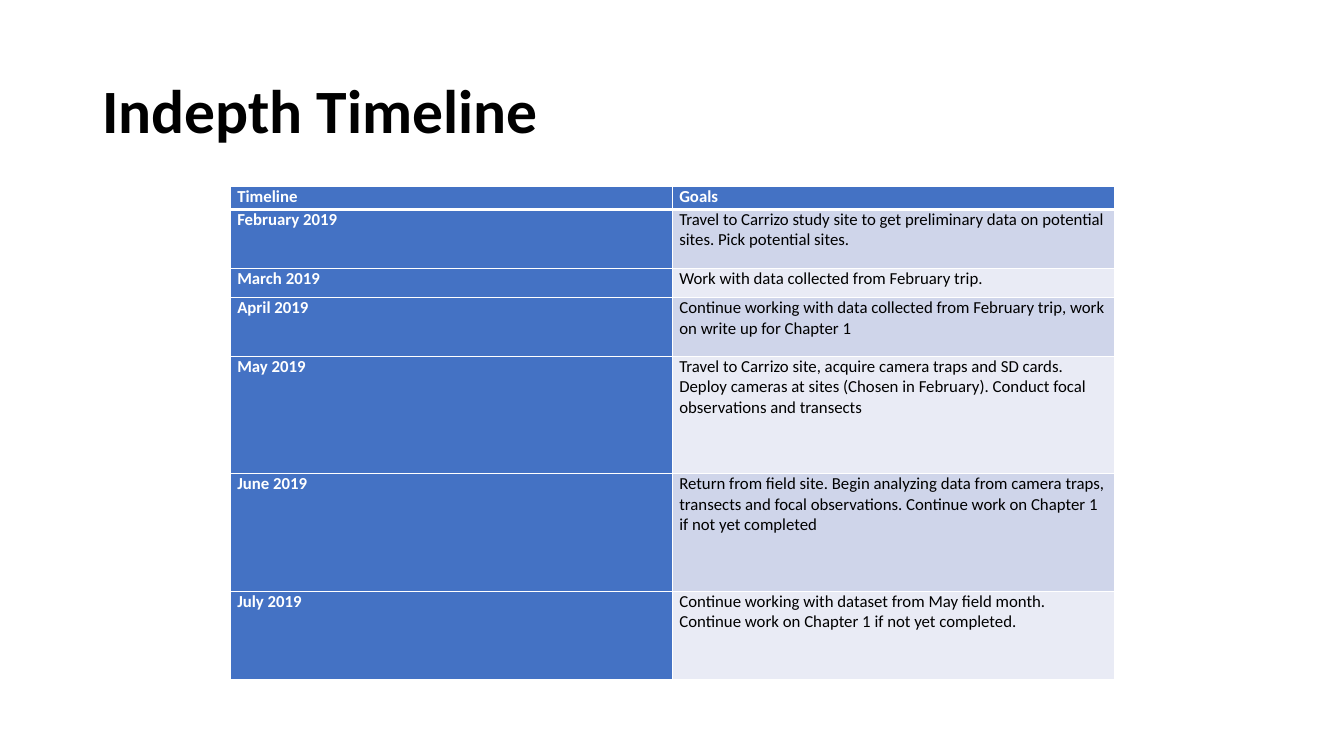
"""Build a slide with a month-by-month timeline table."""
from typing import NamedTuple

from lxml import etree
from pptx import Presentation
from pptx.dml.color import RGBColor
from pptx.enum import text
from pptx.oxml import ns
from pptx.util import Cm, Pt

BLACK = RGBColor(0x00, 0x00, 0x00)
WHITE = RGBColor(0xFF, 0xFF, 0xFF)
BLUE = RGBColor(0x44, 0x72, 0xC4)
BANDS = RGBColor(0xCF, 0xD5, 0xEA), RGBColor(0xE9, 0xEB, 0xF5)

HEADER_HEIGHT = 0.58
UNIT_HEIGHT = 0.74
COLUMN_WIDTH = 11.14
THIN, THICK = 1, 3


class Month(NamedTuple):
    name: str
    goals: str
    units: int


MONTHS = [
    Month("February 2019", "Travel to Carrizo study site to get preliminary data on "
          "potential sites. Pick potential sites.", 2),
    Month("March 2019", "Work with data collected from February trip.", 1),
    Month("April 2019", "Continue working with data collected from February trip, "
          "work on write up for Chapter 1", 2),
    Month("May 2019", "Travel to Carrizo site, acquire camera traps and SD cards. "
          "Deploy cameras at sites (Chosen in February). Conduct focal "
          "observations and transects", 4),
    Month("June 2019", "Return from field site. Begin analyzing data from camera traps, "
          "transects and focal observations. Continue work on Chapter 1 "
          "if not yet completed", 4),
    Month("July 2019", "Continue working with dataset from May field month. "
          "Continue work on Chapter 1 if not yet completed.", 3),
]


def write(frame, words: str, *, size: float, color: RGBColor, bold: bool,
          line_spacing: float = 1.0) -> None:
    para = frame.paragraphs[0]
    para.line_spacing = line_spacing
    span = para.add_run()
    span.text = words
    span.font.name = "Calibri"
    span.font.size = Pt(size)
    span.font.bold = bold
    span.font.color.rgb = color


def add_borders(cell, *, top: float, bottom: float) -> None:
    properties = cell._tc.get_or_add_tcPr()
    widths = {"a:lnL": THIN, "a:lnR": THIN, "a:lnT": top, "a:lnB": bottom}
    for tag, width in widths.items():
        line = etree.SubElement(properties, ns.qn(tag), w=str(Pt(width)))
        fill = etree.SubElement(line, ns.qn("a:solidFill"))
        etree.SubElement(fill, ns.qn("a:srgbClr"), val=str(WHITE))


def fill_cell(cell, words: str, *, fill: RGBColor, color: RGBColor, bold: bool,
              top: float = THIN, bottom: float = THIN) -> None:
    cell.margin_left = cell.margin_right = Cm(0.18)
    cell.margin_top = cell.margin_bottom = 0
    add_borders(cell, top=top, bottom=bottom)
    cell.fill.solid()
    cell.fill.fore_color.rgb = fill
    write(cell.text_frame, words, size=12, color=color, bold=bold)


def add_title(page, words: str) -> None:
    box = page.shapes.add_textbox(Cm(2.33), Cm(1.01), Cm(29.21), Cm(3.68))
    frame = box.text_frame
    frame.word_wrap = True
    frame.vertical_anchor = text.MSO_ANCHOR.MIDDLE
    write(frame, words, size=44, color=BLACK, bold=True, line_spacing=0.9)


def add_timeline(page, months: list[Month]) -> None:
    heights = [HEADER_HEIGHT] + [UNIT_HEIGHT * month.units for month in months]
    table = page.shapes.add_table(len(heights), 2, Cm(5.8), Cm(4.7),
                                  Cm(2 * COLUMN_WIDTH), Cm(sum(heights))).table
    for column in table.columns:
        column.width = Cm(COLUMN_WIDTH)
    for row, height in zip(table.rows, heights):
        row.height = Cm(height)
    for column, heading in enumerate(("Timeline", "Goals")):
        fill_cell(table.cell(0, column), heading, fill=BLUE, color=WHITE,
                  bold=True, bottom=THICK)
    for index, month in enumerate(months):
        top = THIN if index else THICK
        fill_cell(table.cell(index + 1, 0), month.name, fill=BLUE, color=WHITE,
                  bold=True, top=top)
        fill_cell(table.cell(index + 1, 1), month.goals, fill=BANDS[index % 2],
                  color=BLACK, bold=False, top=top)


def main() -> None:
    deck = Presentation()
    deck.slide_width, deck.slide_height = Cm(33.87), Cm(19.05)
    page = deck.slides.add_slide(deck.slide_layouts[6])
    add_title(page, "Indepth Timeline")
    add_timeline(page, MONTHS)
    deck.save("out.pptx")


if __name__ == "__main__":
    main()
